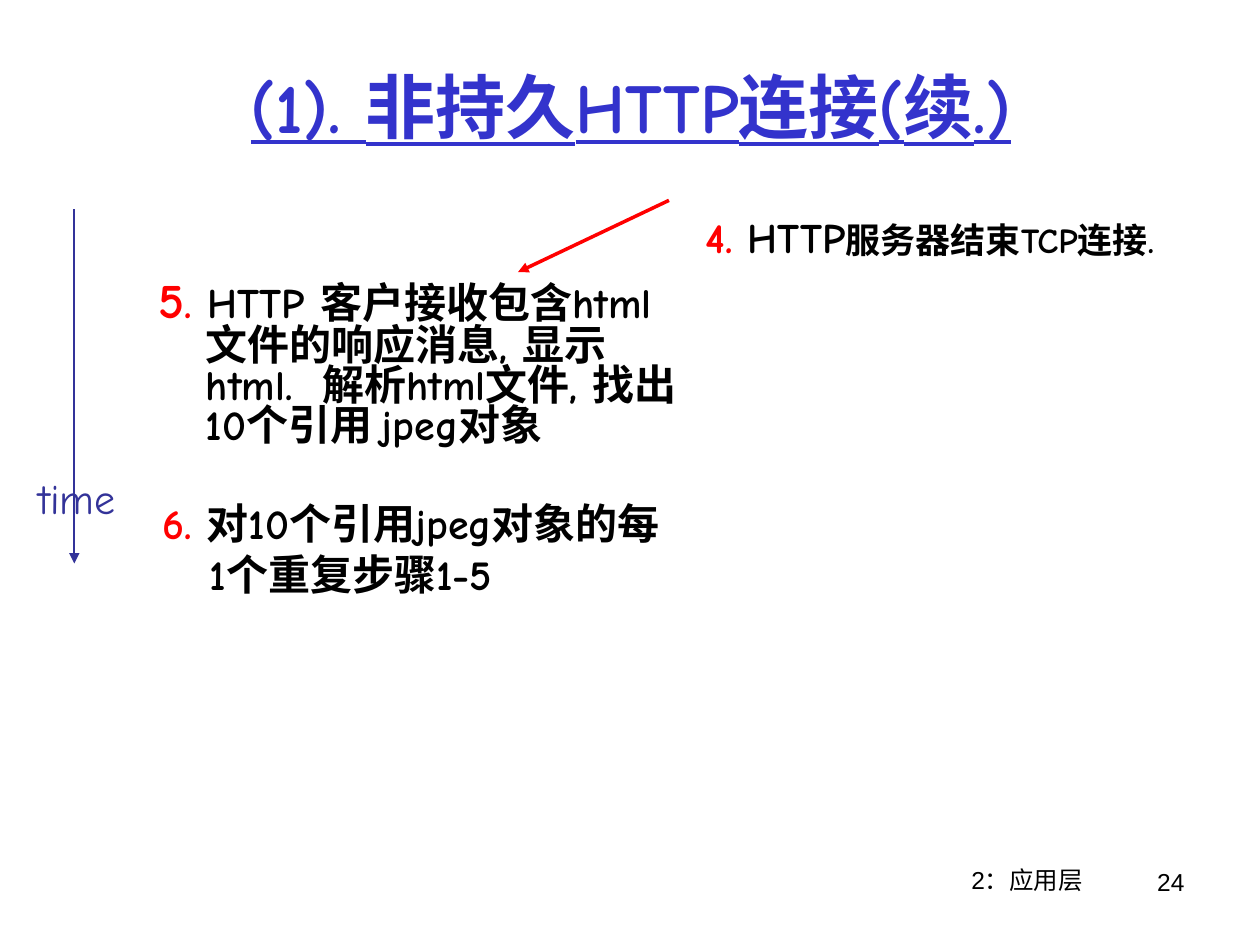
from lxml.etree import SubElement
from pptx import Presentation
from pptx.dml.color import RGBColor
from pptx.enum.shapes import MSO_CONNECTOR
from pptx.enum.text import MSO_ANCHOR, MSO_AUTO_SIZE, PP_ALIGN
from pptx.oxml.ns import qn
from pptx.util import Pt

BLACK = RGBColor(0x00, 0x00, 0x00)
RED = RGBColor(0xFF, 0x00, 0x00)
BLUE = RGBColor(0x33, 0x33, 0xCC)
NAVY = RGBColor(0x33, 0x33, 0x99)

deck = Presentation()
deck.slide_width, deck.slide_height = Pt(720), Pt(540)
page = deck.slides.add_slide(deck.slide_layouts[6])


def add_text(spans, left, top, width, height, font="Comic Neue", bold=False,
             underline=False, align=PP_ALIGN.LEFT, anchor=MSO_ANCHOR.TOP,
             hanging=0, line_spacing=None, wrap=True):
    box = page.shapes.add_textbox(Pt(left), Pt(top), Pt(width), Pt(height))
    frame = box.text_frame
    frame.word_wrap = wrap
    frame.auto_size = MSO_AUTO_SIZE.NONE if wrap else MSO_AUTO_SIZE.SHAPE_TO_FIT_TEXT
    frame.vertical_anchor = anchor
    para = frame.paragraphs[0]
    para.alignment = align
    para.line_spacing = line_spacing
    if hanging:
        properties = para._p.get_or_add_pPr()
        properties.set("marL", str(Pt(hanging)))
        properties.set("indent", str(-Pt(hanging)))
    for text, size, color in spans:
        span = para.add_run()
        span.text = text
        span.font.name = font
        span.font.size = Pt(size)
        span.font.bold = bold
        span.font.underline = underline
        span.font.color.rgb = color


def add_arrow(start, end, color, width):
    arrow = page.shapes.add_connector(
        MSO_CONNECTOR.STRAIGHT, Pt(start[0]), Pt(start[1]), Pt(end[0]), Pt(end[1]))
    arrow.line.color.rgb = color
    arrow.line.width = Pt(width)
    SubElement(arrow.line._get_or_add_ln(), qn("a:tailEnd"), type="triangle")
    SubElement(arrow._element.spPr, qn("a:effectLst"))


add_text([("2：应用层", 14, BLACK)], 473, 491, 228, 37.5,
         font="Arial", align=PP_ALIGN.CENTER)
add_text([("24", 14, BLACK)], 620.5, 492, 63.5, 37.5,
         font="Arial", align=PP_ALIGN.RIGHT)
add_text([("(1). 非持久HTTP连接(续.)", 40, BLUE)], 39.6, 26, 642, 68.4, bold=True,
         underline=True, align=PP_ALIGN.CENTER, anchor=MSO_ANCHOR.MIDDLE)

add_text([("5", 28, RED), (".", 24, RED),
          (" HTTP 客户接收包含html文件的响应消息, 显示html.  解析html文件, "
           "找出10个引用 jpeg对象", 24, BLACK)],
         83.5, 157, 317.5, 106.5, bold=True, hanging=27, line_spacing=0.8)
add_text([("6. ", 24, RED), ("对10个引用jpeg对象的每1个重复步骤1-5", 24, BLACK)],
         85.7, 280.8, 300, 72.7, bold=True, hanging=27)
add_text([("4.", 24, RED), (" HTTP", 24, BLACK), ("服务器结束TCP连接.", 20, BLACK)],
         396, 117.4, 300, 57.6, bold=True, hanging=27)

add_arrow((42.5, 119.5), (42.5, 322), NAVY, 1)
add_text([("time", 24, NAVY)], 14.4, 266.4, 59, 36,
         align=PP_ALIGN.CENTER, wrap=False)
add_arrow((382.3, 114.5), (296, 155.5), RED, 2)

deck.save("out.pptx")
